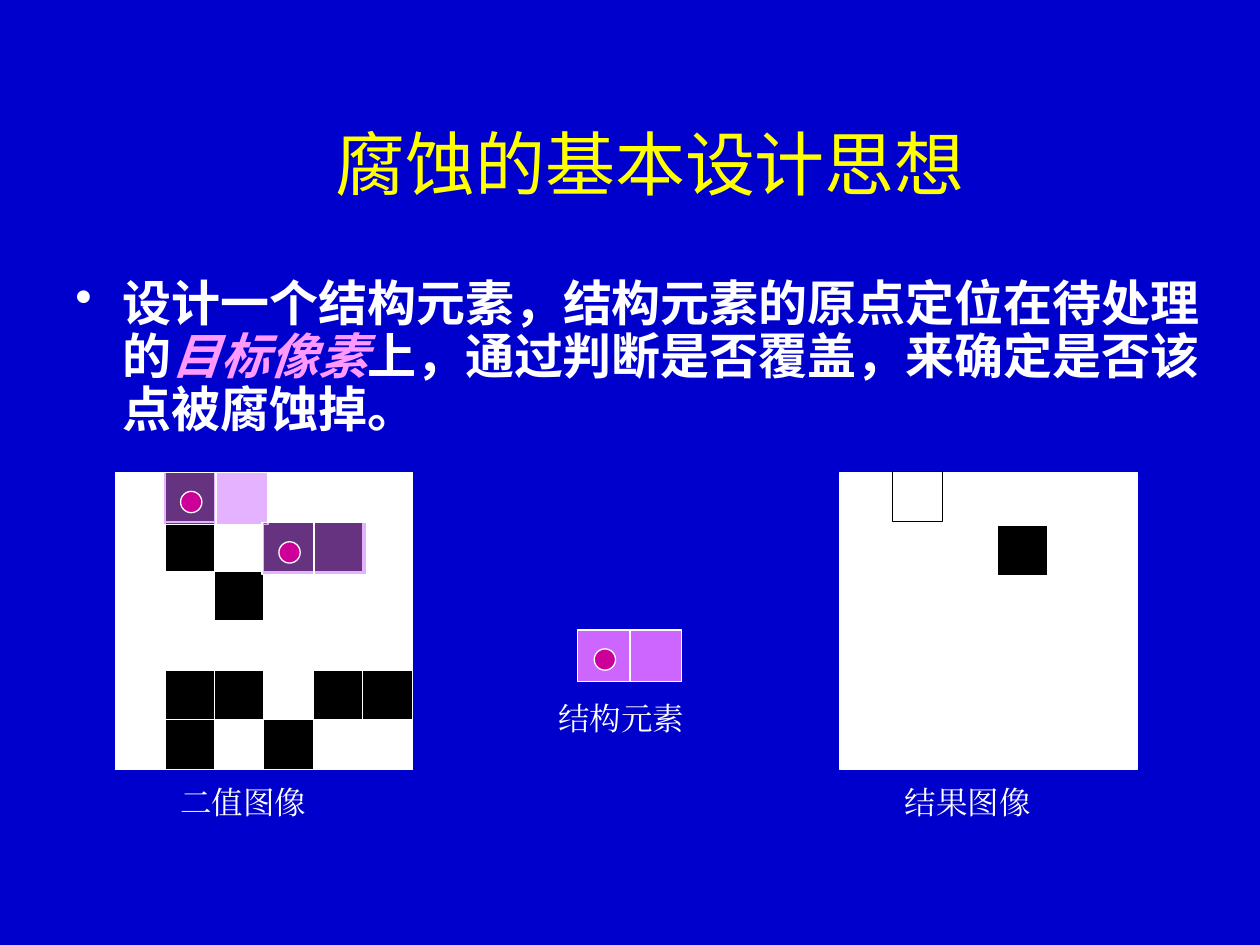
from dataclasses import dataclass
from typing import Any

from lxml.etree import SubElement
from pptx import Presentation
from pptx.dml.color import RGBColor
from pptx.enum.shapes import MSO_SHAPE as Shape
from pptx.enum.text import MSO_ANCHOR as Anchor
from pptx.enum.text import MSO_AUTO_SIZE as AutoSize
from pptx.enum.text import PP_ALIGN as Align
from pptx.oxml.ns import qn
from pptx.util import Pt

BLUE, WHITE, BLACK, YELLOW = "0000CC", "FFFFFF", "000000", "FFFF00"
VIOLET, MAGENTA, PINK = "CC66FF", "CC0099", "FF99FF"
SANS, SERIF = "Noto Sans CJK SC", "Times New Roman"
PIXEL, PIXEL_STEP = 28.6, 28.25
CELL, CELL_STEP, DOT = 29.6, 30, 12.2


@dataclass(frozen=True)
class PixelGrid:
    left: float
    top: float
    rows: tuple[str, ...]
    caption: str
    caption_left: float


@dataclass(frozen=True)
class Element:
    left: float
    top: float
    opacity: int = 100
    caption: str = ""


GRIDS = (
    PixelGrid(66, 270, (".#....", ".#.##.", "..#...", "......", ".##.##", ".#.#.."), "二值图像", 96),
    PixelGrid(480, 270, ("......",) * 6, "结果图像", 510),
)
ELEMENTS = (
    Element(330, 360, caption="结构元素"),
    Element(93.6, 270, opacity=50),
    Element(149.8, 298.8, opacity=50),
)


def color(value: str) -> RGBColor:
    return RGBColor.from_string(value)


def add_span(para: Any, text: str, *, size: float, font: str = SANS, fill: str = WHITE,
             bold: bool = False, italic: bool = False) -> None:
    span = para.add_run()
    span.text = text
    span.font.size = Pt(size)
    span.font.bold = bold
    span.font.italic = italic
    span.font.color.rgb = color(fill)
    span.font.name = font
    SubElement(span.font._element, qn("a:ea"), typeface=font)


def add_box(shapes: Any, left: float, top: float, width: float, height: float) -> Any:
    box = shapes.add_textbox(Pt(left), Pt(top), Pt(width), Pt(height))
    box.text_frame.word_wrap = True
    return box.text_frame.paragraphs[0]


def add_caption(shapes: Any, text: str, left: float, top: float) -> None:
    para = add_box(shapes, left, top, 102, 29)
    add_span(para, text, size=18, font=SERIF)


def add_figure(shapes: Any, kind: Shape, left: float, top: float, size: float,
               fill: str, line: str = WHITE, opacity: int = 100) -> None:
    figure = shapes.add_shape(kind, Pt(left), Pt(top), Pt(size), Pt(size))
    figure.shadow.inherit = False
    figure.fill.solid()
    figure.fill.fore_color.rgb = color(fill)
    figure.line.color.rgb = color(line)
    figure.line.width = Pt(0.75)
    if opacity < 100:
        tint = next(figure._element.spPr.iter(qn("a:srgbClr")))
        SubElement(tint, qn("a:alpha"), val=str(opacity * 1000))


def draw_grid(page: Any, grid: PixelGrid) -> None:
    shapes = page.shapes.add_group_shape().shapes
    for row, marks in enumerate(grid.rows):
        for column, mark in enumerate(marks):
            add_figure(shapes, Shape.RECTANGLE, grid.left + column * PIXEL_STEP,
                       grid.top + row * PIXEL_STEP, PIXEL, BLACK if mark == "#" else WHITE)
    add_caption(shapes, grid.caption, grid.caption_left, 444)


def draw_element(page: Any, element: Element) -> None:
    shapes = page.shapes.add_group_shape().shapes
    for column in range(2):
        add_figure(shapes, Shape.RECTANGLE, element.left + column * CELL_STEP,
                   element.top, CELL, VIOLET, opacity=element.opacity)
    if element.caption:
        add_caption(shapes, element.caption, element.left - 18, element.top + 36)
    add_figure(shapes, Shape.OVAL, element.left + 9.6, element.top + 10.8, DOT, MAGENTA)


def draw_title(page: Any, text: str) -> None:
    title = page.shapes.title
    title.left, title.top, title.width, title.height = Pt(92), Pt(48), Pt(559), Pt(90)
    frame = title.text_frame
    frame.auto_size = AutoSize.NONE
    frame.vertical_anchor = Anchor.MIDDLE
    para = frame.paragraphs[0]
    para.alignment = Align.CENTER
    add_span(para, text, size=40, fill=YELLOW)


def draw_body(page: Any) -> None:
    para = add_box(page.shapes, 36, 156, 672, 102)
    para.line_spacing = 0.9
    properties = para._p.get_or_add_pPr()
    properties.set("marL", str(Pt(27)))
    properties.set("indent", str(Pt(-27)))
    bullet_color = SubElement(properties, qn("a:buClr"))
    SubElement(bullet_color, qn("a:srgbClr"), val=WHITE)
    SubElement(properties, qn("a:buChar"), char="•")
    add_span(para, "设计一个结构元素，结构元素的原点定位在待处理的", size=28, bold=True)
    add_span(para, "目标像素", size=28, fill=PINK, bold=True, italic=True)
    add_span(para, "上，通过判断是否覆盖，来确定是否该点被腐蚀掉。", size=28, bold=True)


def main() -> None:
    deck = Presentation()
    deck.slide_width, deck.slide_height = Pt(720), Pt(540)
    page = deck.slides.add_slide(deck.slide_layouts[5])
    page.background.fill.solid()
    page.background.fill.fore_color.rgb = color(BLUE)
    draw_title(page, "腐蚀的基本设计思想")
    draw_body(page)
    binary, result = GRIDS
    draw_grid(page, binary)
    for element in ELEMENTS:
        draw_element(page, element)
    draw_grid(page, result)
    add_figure(page.shapes, Shape.RECTANGLE, 570, 300.2, PIXEL, BLACK)
    add_figure(page.shapes, Shape.RECTANGLE, 509.8, 269.3, PIXEL, WHITE, line=BLACK)
    deck.save("out.pptx")


if __name__ == "__main__":
    main()
